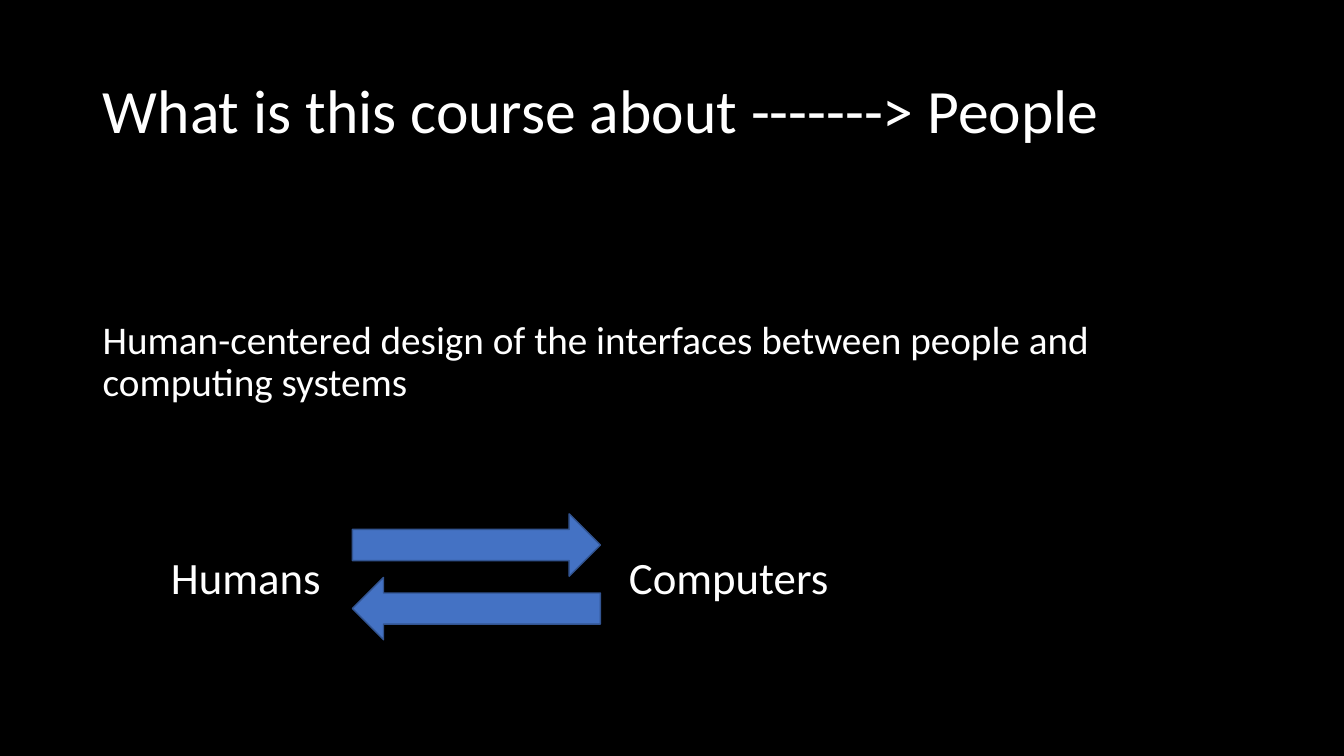
from dataclasses import dataclass
from pptx import Presentation
from pptx import util as u
from pptx.dml import color
from pptx.enum import shapes, text


@dataclass(frozen=True)
class Theme:
    font: str = "Calibri"
    back: str = "000000"
    ink: str = "FFFFFF"
    fill: str = "4472C4"
    edge: str = "325491"
    head: int = 44
    body: int = 28
    label: int = 32


THEME = Theme()


def rgb(code):
    return color.RGBColor.from_string(code)


def place(shape, box):
    for name, size in zip(("left", "top", "width", "height"), box):
        setattr(shape, name, u.Cm(size))


def write(shape, words, size, lines=1.0, **form):
    """Fill a shape with one left-aligned paragraph; form holds frame settings."""
    frame = shape.text_frame
    form = {"word_wrap": True, "auto_size": text.MSO_AUTO_SIZE.NONE, **form}
    for name, value in form.items():
        setattr(frame, name, value)
    para = frame.paragraphs[0]
    para.text = words
    para.alignment = text.PP_ALIGN.LEFT
    para.line_spacing = lines
    font = para.runs[0].font
    for name, value in {"name": THEME.font, "size": u.Pt(size)}.items():
        setattr(font, name, value)
    font.color.rgb = rgb(THEME.ink)


def add_head(slide, box, words):
    title = slide.shapes.title
    place(title, box)
    write(title, words, THEME.head, 0.9, vertical_anchor=text.MSO_ANCHOR.MIDDLE)


def add_body(slide, box, words):
    area = slide.shapes.add_textbox(*map(u.Cm, box))
    write(area, words, THEME.body, 0.9, margin_top=u.Cm(3))


def add_label(slide, box, words):
    label = slide.shapes.add_textbox(*map(u.Cm, box))
    write(label, words, THEME.label, word_wrap=False,
          auto_size=text.MSO_AUTO_SIZE.SHAPE_TO_FIT_TEXT)
    place(label, box)


def add_arrow(slide, box, turn):
    kind = shapes.MSO_SHAPE.RIGHT_ARROW
    arrow = slide.shapes.add_shape(kind, *map(u.Cm, box))
    arrow.rotation = turn
    arrow.shadow.inherit = False
    arrow.fill.solid()
    arrow.fill.fore_color.rgb = rgb(THEME.fill)
    arrow.line.color.rgb = rgb(THEME.edge)
    arrow.line.width = u.Pt(1)


def add_loop(slide, box):
    """Two labels with a pair of opposite arrows between them."""
    left, top, wide, high = box
    row = high / 2
    mid = top + 0.77
    add_label(slide, (left + wide - 5.59, mid, 5.59, 1.63), "Computers")
    add_label(slide, (left, mid, 4.34, 1.63), "Humans")
    for step, turn in enumerate((0, 180)):
        add_arrow(slide, (left + 4.82, top + step * row, 6.25, 1.57), turn)


def main():
    deck = Presentation()
    deck.slide_width, deck.slide_height = u.Cm(33.87), u.Cm(19.05)
    slide = deck.slides.add_slide(deck.slide_layouts.get_by_name("Title Only"))
    slide.background.fill.solid()
    slide.background.fill.fore_color.rgb = rgb(THEME.back)
    left, wide = 2.34, 29.21
    add_head(slide, (left, 1.02, wide, 3.68),
             "What is this course about -------> People")
    add_body(slide, (left, 5.08, wide, 7.16),
             "Human-centered design of the interfaces between people and "
             "computing systems")
    add_loop(slide, (4.06, 12.95, 17.13, 3.2))
    deck.save("out.pptx")


if __name__ == "__main__":
    main()
